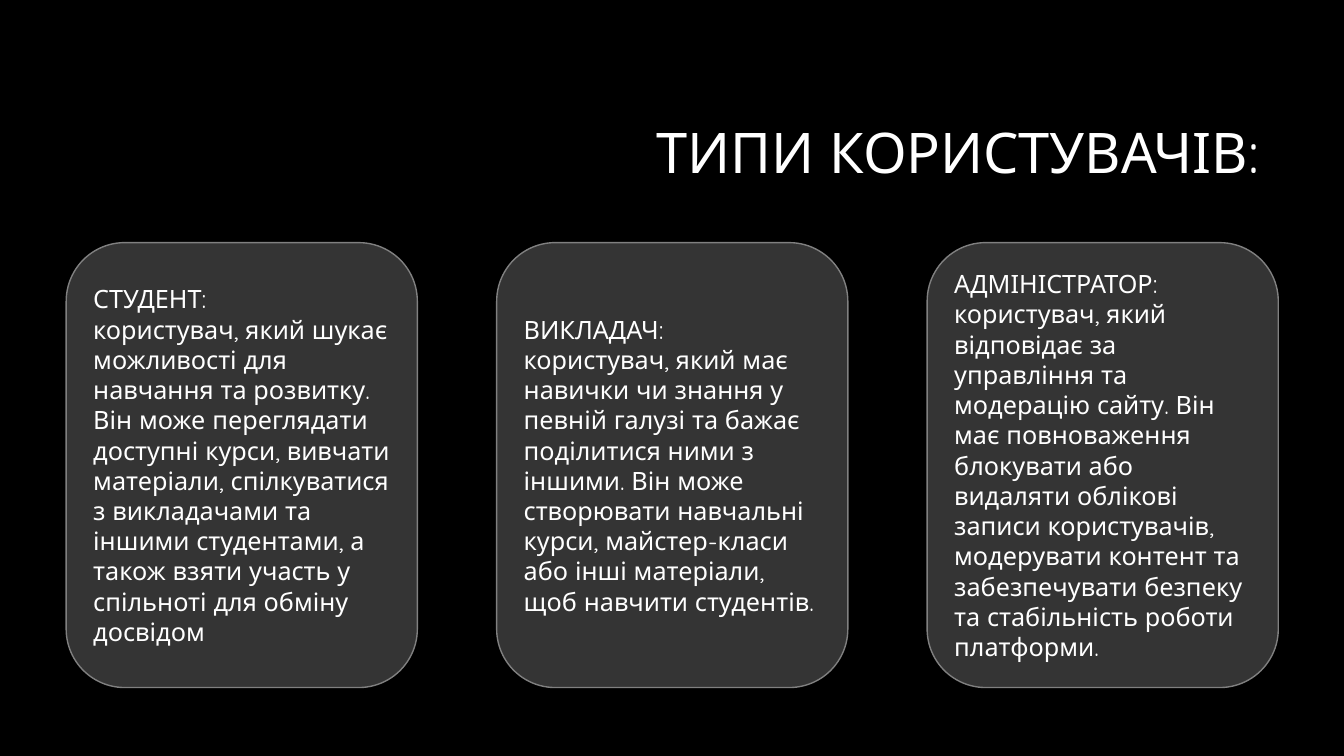
from pptx import Presentation
from pptx import util as u
from pptx.dml.color import RGBColor
from pptx.enum import shapes, text

BLACK = RGBColor(0x00, 0x00, 0x00)
WHITE = RGBColor(0xFF, 0xFF, 0xFF)
CARD_FILL = RGBColor(0x34, 0x34, 0x34)
CARD_LINE = RGBColor(0x80, 0x80, 0x80)
FONT = "Quicksand"

CARD_LEFT, CARD_TOP = 47.3, 173.3
CARD_WIDTH, CARD_HEIGHT = 250.8, 317.8
CARD_STEP = 307.5

USERS = [
    ("СТУДЕНТ:",
     "користувач, який шукає можливості для навчання та розвитку. "
     "Він може переглядати доступні курси, вивчати матеріали, "
     "спілкуватися з викладачами та іншими студентами, а також взяти "
     "участь у спільноті для обміну досвідом"),
    ("ВИКЛАДАЧ:",
     "користувач, який має навички чи знання у певній галузі та бажає "
     "поділитися ними з іншими. Він може створювати навчальні курси, "
     "майстер-класи або інші матеріали, щоб навчити студентів."),
    ("АДМІНІСТРАТОР:",
     "користувач, який відповідає за управління та модерацію сайту. "
     "Він має повноваження блокувати або видаляти облікові записи "
     "користувачів, модерувати контент та забезпечувати безпеку та "
     "стабільність роботи платформи."),
]


def write(paragraph, content, size=18, align=text.PP_ALIGN.LEFT, spacing=None):
    paragraph.alignment = align
    paragraph.line_spacing = spacing
    run = paragraph.add_run()
    run.text = content
    run.font.name = FONT
    run.font.size = u.Pt(size)
    run.font.color.rgb = WHITE


presentation = Presentation()
presentation.slide_width = u.Pt(960)
presentation.slide_height = u.Pt(540)
slide = presentation.slides.add_slide(presentation.slide_layouts[5])

# Background
slide.background.fill.solid()
slide.background.fill.fore_color.rgb = BLACK

# Title
title = slide.shapes.title
title.left, title.top = u.Pt(228.2), u.Pt(60.5)
title.width, title.height = u.Pt(678.2), u.Pt(101.5)
title.text_frame.vertical_anchor = text.MSO_ANCHOR.MIDDLE
write(title.text_frame.paragraphs[0], "ТИПИ КОРИСТУВАЧІВ:",
      size=40, align=text.PP_ALIGN.RIGHT, spacing=0.9)

# One card per user type
for index, (role, description) in enumerate(USERS):
    card = slide.shapes.add_shape(
        shapes.MSO_SHAPE.ROUNDED_RECTANGLE,
        u.Pt(CARD_LEFT + index * CARD_STEP), u.Pt(CARD_TOP),
        u.Pt(CARD_WIDTH), u.Pt(CARD_HEIGHT))
    card.shadow.inherit = False
    card.fill.solid()
    card.fill.fore_color.rgb = CARD_FILL
    card.line.color.rgb = CARD_LINE
    card.line.width = u.Pt(1)
    frame = card.text_frame
    frame.word_wrap = True
    frame.vertical_anchor = text.MSO_ANCHOR.MIDDLE
    write(frame.paragraphs[0], role)
    write(frame.add_paragraph(), description)

presentation.save("out.pptx")
